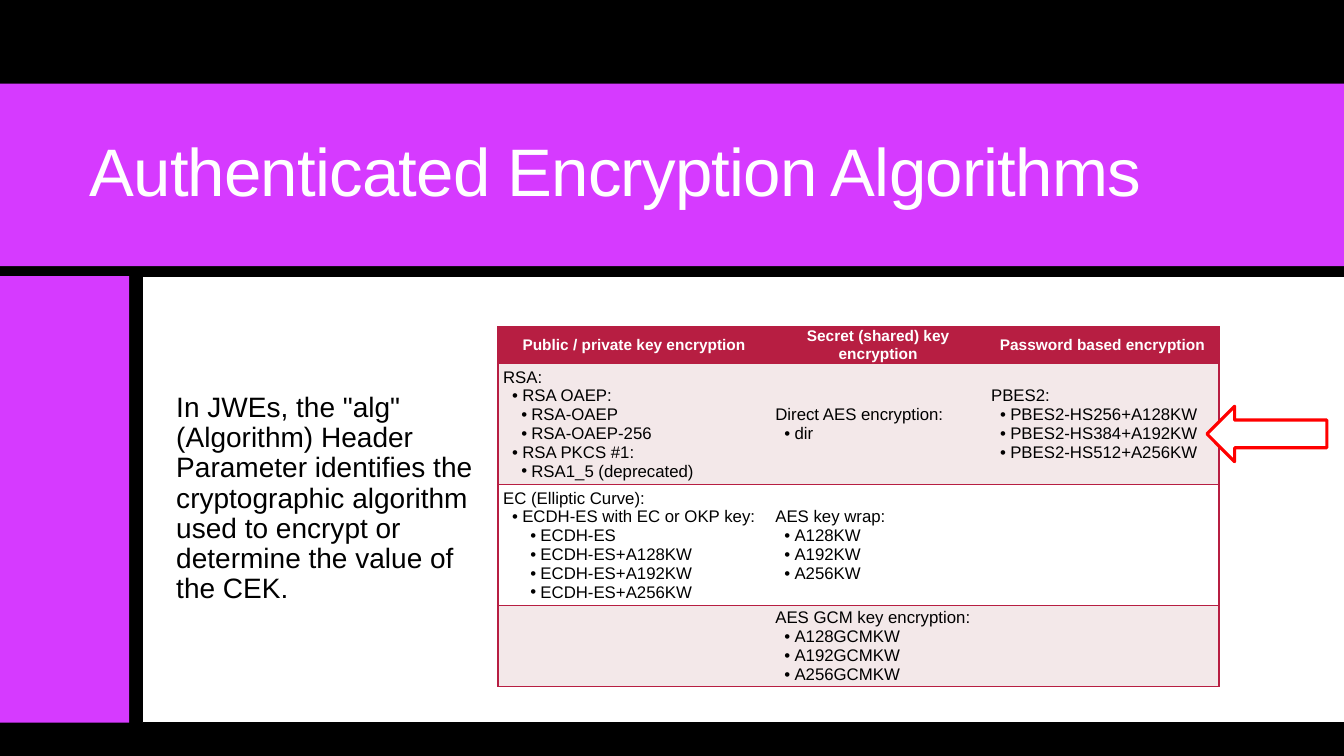
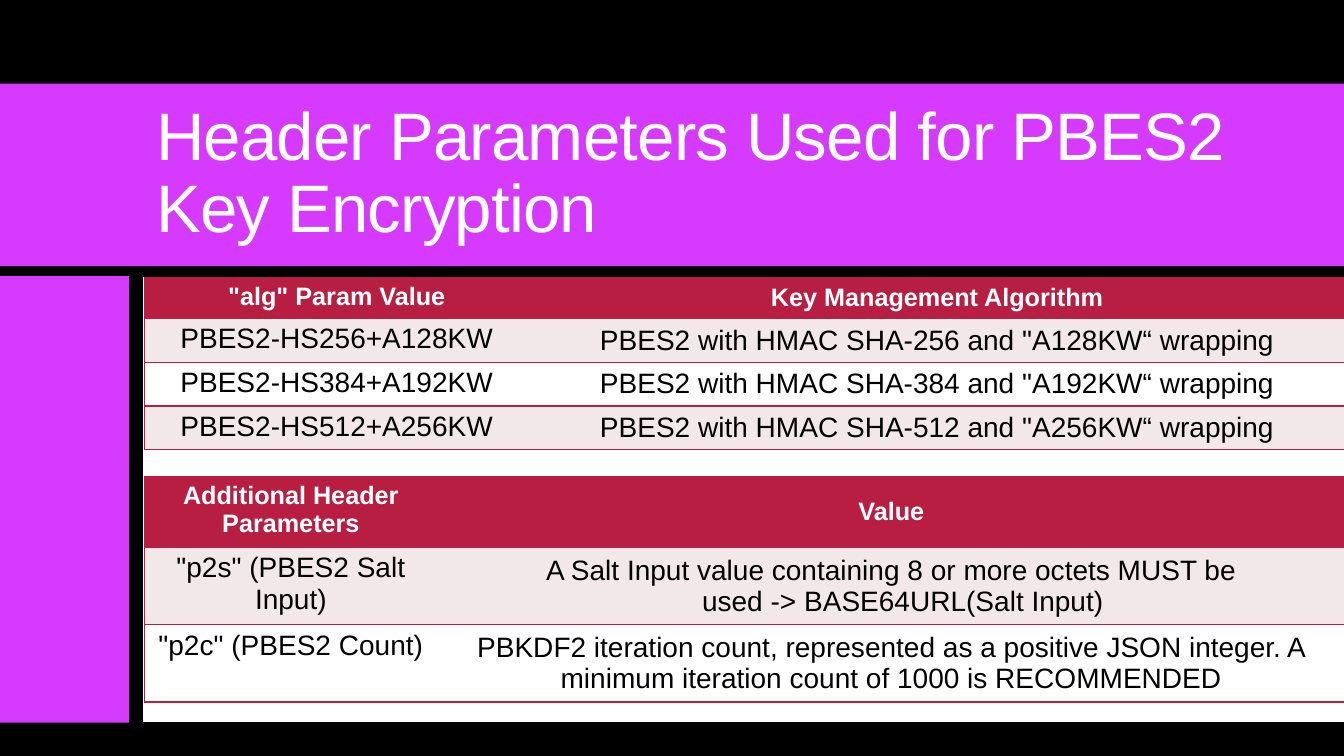
"""Build two slides on authenticated encryption algorithms."""
from dataclasses import dataclass

from lxml.etree import SubElement
from pptx import Presentation
from pptx.dml.color import RGBColor
from pptx.enum.shapes import MSO_SHAPE
from pptx.enum.text import MSO_ANCHOR, PP_ALIGN
from pptx.oxml import parse_xml
from pptx.oxml.ns import nsdecls, qn
from pptx.util import Inches, Pt


@dataclass(frozen=True)
class Theme:
    """Colours, font and type sizes of the deck."""
    font: str = "Arial"
    black: str = "000000"
    white: str = "FFFFFF"
    violet: str = "D63AFF"
    crimson: str = "B71E42"
    blush: str = "F3E8E9"
    red: str = "FF0000"
    title_size: int = 48
    body_size: int = 20
    head_size: int = 18
    small_size: int = 12
    small_head_size: int = 11


@dataclass(frozen=True)
class Box:
    """A rectangle in inches."""
    left: float
    top: float
    width: float
    height: float

    def lengths(self):
        """Return the four lengths that python-pptx expects."""
        return [Inches(x) for x in (self.left, self.top, self.width, self.height)]


@dataclass(frozen=True)
class Line:
    """One paragraph of a table cell, indented and perhaps bulleted."""
    text: str
    indent: float = 0
    bullet: bool = False


@dataclass(frozen=True)
class TableStyle:
    """Type sizes, cell margins and alignment of a table."""
    head_size: int
    body_size: int
    margins: tuple
    body_align: PP_ALIGN
    first_column_anchor: MSO_ANCHOR


THEME = Theme()
SLIDE_WIDTH, SLIDE_HEIGHT = 13.33, 7.5
TITLE_BAND = Box(0, 0.83, SLIDE_WIDTH, 1.81)
SIDE_BAND = Box(0, 2.74, 1.28, 4.43)
PANEL = Box(1.41, 2.74, 11.93, 4.43)
COMPACT = TableStyle(THEME.small_head_size, THEME.small_size, (0, 0),
                     PP_ALIGN.LEFT, MSO_ANCHOR.MIDDLE)
ROOMY = TableStyle(THEME.head_size, THEME.body_size, (0.1, 0.05),
                   PP_ALIGN.CENTER, MSO_ANCHOR.TOP)
BULLET_WIDTH = 0.1


def colour(code):
    """Turn a hex code into a colour."""
    return RGBColor.from_string(code)


def format_span(span, size, code, bold=False):
    """Set the font of a run."""
    span.font.name = THEME.font
    span.font.size = Pt(size)
    span.font.bold = bold
    span.font.color.rgb = colour(code)


def add_block(page, box, fill, line=None, width=1, kind=MSO_SHAPE.RECTANGLE):
    """Add a filled shape, with an outline if a line colour is given."""
    block = page.shapes.add_shape(kind, *box.lengths())
    block.shadow.inherit = False
    block.fill.solid()
    block.fill.fore_color.rgb = colour(fill)
    if line:
        block.line.color.rgb = colour(line)
        block.line.width = Pt(width)
    else:
        block.line.fill.background()
    return block


def add_text(page, box, text, size, code):
    """Add a wrapped, vertically centred text box and return its run."""
    frame = page.shapes.add_textbox(*box.lengths()).text_frame
    frame.word_wrap = True
    frame.vertical_anchor = MSO_ANCHOR.MIDDLE
    frame.text = text
    para = frame.paragraphs[0]
    para.line_spacing = 0.9
    span = para.runs[0]
    format_span(span, size, code)
    return span


def add_page(deck, title, title_left):
    """Add a slide with the shared bands, panel and title."""
    page = deck.slides.add_slide(deck.slide_layouts[6])
    page.background.fill.solid()
    page.background.fill.fore_color.rgb = colour(THEME.black)
    add_block(page, TITLE_BAND, THEME.violet)
    add_block(page, SIDE_BAND, THEME.violet)
    add_block(page, PANEL, THEME.white, THEME.black, 0.85)
    box = Box(title_left, 0.95, 13.12 - title_left, 1.57)
    span = add_text(page, box, title, THEME.title_size, THEME.white)
    span.font._element.set("spc", "-60")
    return page


def set_borders(cell, visible):
    """Draw the named cell sides and hide the others."""
    properties = cell._tc.get_or_add_tcPr()
    for place, side in enumerate("LRTB"):
        if side in visible:
            paint = f'<a:solidFill><a:srgbClr val="{THEME.crimson}"/></a:solidFill>'
        else:
            paint = "<a:noFill/>"
        border = parse_xml(f'<a:ln{side} {nsdecls("a")} w="{Pt(1)}">{paint}</a:ln{side}>')
        properties.insert(place, border)


def indent_paragraph(para, line):
    """Apply the indent and bullet of a line."""
    properties = para._p.get_or_add_pPr()
    hang = BULLET_WIDTH if line.bullet else 0
    properties.set("marL", str(Inches(line.indent + hang)))
    properties.set("indent", str(-Inches(hang)))
    if line.bullet:
        SubElement(properties, qn("a:buFont")).set("typeface", THEME.font)
        SubElement(properties, qn("a:buChar")).set("char", "•")


def fill_cell(cell, lines, style, is_head):
    """Write lines into a table cell."""
    side, edge = (Inches(x) for x in style.margins)
    cell.margin_left = cell.margin_right = side
    cell.margin_top = cell.margin_bottom = edge
    frame = cell.text_frame
    frame.text = "\n".join(line.text for line in lines)
    for para, line in zip(frame.paragraphs, lines):
        indent_paragraph(para, line)
        para.alignment = PP_ALIGN.CENTER if is_head else style.body_align
        for span in para.runs:
            if is_head:
                format_span(span, style.head_size, THEME.white, True)
            else:
                format_span(span, style.body_size, THEME.black)


def add_grid(page, left, top, widths, heights, rows, style):
    """Add a table with a crimson head and banded rows."""
    box = Box(left, top, sum(widths), sum(heights))
    table = page.shapes.add_table(len(rows), len(widths), *box.lengths()).table
    table.first_row = table.horz_banding = False
    for column, width in zip(table.columns, widths):
        column.width = Inches(width)
    for row, height in zip(table.rows, heights):
        row.height = Inches(height)
    last = len(widths) - 1
    for r, row in enumerate(rows):
        band = THEME.blush if r % 2 else THEME.white
        for c, content in enumerate(row):
            cell = table.cell(r, c)
            lines = [Line(content)] if isinstance(content, str) else content
            fill_cell(cell, lines, style, r == 0)
            cell.vertical_anchor = MSO_ANCHOR.MIDDLE if c else style.first_column_anchor
            cell.fill.solid()
            cell.fill.fore_color.rgb = colour(band if r else THEME.crimson)
            set_borders(cell, "TB" + "L" * (c == 0) + "R" * (c == last))


def outline(heading, *items):
    """Make a heading followed by (level, text) bullets."""
    bullets = [Line(text, 0.05 + 0.09 * level, True) for level, text in items]
    return [Line(heading, 0.05), *bullets]


def flat_outline(heading, *names):
    """Make a heading followed by first-level bullets."""
    return outline(heading, *((1, name) for name in names))


def build_algorithms(deck):
    """Build the slide that lists the key encryption algorithms."""
    page = add_page(deck, "Authenticated Encryption Algorithms", 0.79)
    add_text(page, Box(1.65, 2.75, 3.17, 4.4),
             'In JWEs, the "alg" (Algorithm) Header Parameter identifies the '
             "cryptographic algorithm used to encrypt or determine the value of the CEK.",
             THEME.body_size, THEME.black)
    rsa = outline("RSA:", (1, "RSA OAEP:"), (2, "RSA-OAEP"), (2, "RSA-OAEP-256"),
                  (1, "RSA PKCS #1:"), (2, "RSA1_5 (deprecated)"))
    curve = outline("EC (Elliptic Curve):", (1, "ECDH-ES with EC or OKP key:"),
                    (3, "ECDH-ES"), (3, "ECDH-ES+A128KW"),
                    (3, "ECDH-ES+A192KW"), (3, "ECDH-ES+A256KW"))
    password = flat_outline("PBES2:", "PBES2-HS256+A128KW", "PBES2-HS384+A192KW",
                            "PBES2-HS512+A256KW")
    wrap = flat_outline("AES key wrap:", "A128KW", "A192KW", "A256KW")
    gcm = flat_outline("AES GCM key encryption:", "A128GCMKW", "A192GCMKW", "A256GCMKW")
    rows = [
        ["Public / private key encryption", "Secret (shared) key encryption",
         "Password based encryption"],
        [rsa, flat_outline("Direct AES encryption:", "dir"), password],
        [curve, wrap, ""],
        ["", gcm, ""],
    ]
    add_grid(page, 4.94, 3.24, [2.7, 2.14, 2.31], [0.35, 1.19, 1.19, 0.79], rows, COMPACT)
    add_block(page, Box(11.97, 4.03, 1.19, 0.55), THEME.white, THEME.red, 2.25,
              MSO_SHAPE.LEFT_ARROW)


def build_parameters(deck):
    """Build the slide that lists the PBES2 header parameters."""
    page = add_page(deck, "Header Parameters Used for PBES2 Key Encryption", 1.45)
    algorithms = [["\"alg\" Param Value", "Key Management Algorithm"]]
    for digest, key in ((256, 128), (384, 192), (512, 256)):
        algorithms.append([f"PBES2-HS{digest}+A{key}KW",
                           f'PBES2 with HMAC SHA-{digest} and "A{key}KW“ wrapping'])
    add_grid(page, 1.43, 2.75, [3.82, 8.09], [0.41] * 4, algorithms, ROOMY)
    salt = [Line("A Salt Input value containing 8 or more octets MUST be"),
            Line("used -> BASE64URL(Salt Input)", 0.23)]
    parameters = [
        ["Additional Header Parameters", "Value"],
        ['"p2s" (PBES2 Salt Input)', salt],
        ['"p2c" (PBES2 Count)',
         "PBKDF2 iteration count, represented as a positive JSON integer. "
         "A minimum iteration count of 1000 is RECOMMENDED"],
    ]
    add_grid(page, 1.43, 4.73, [2.91, 9], [0.67, 0.72, 0.72], parameters, ROOMY)


def main():
    """Build and save the deck."""
    deck = Presentation()
    deck.slide_width, deck.slide_height = Inches(SLIDE_WIDTH), Inches(SLIDE_HEIGHT)
    build_algorithms(deck)
    build_parameters(deck)
    deck.save("out.pptx")


if __name__ == "__main__":
    main()
